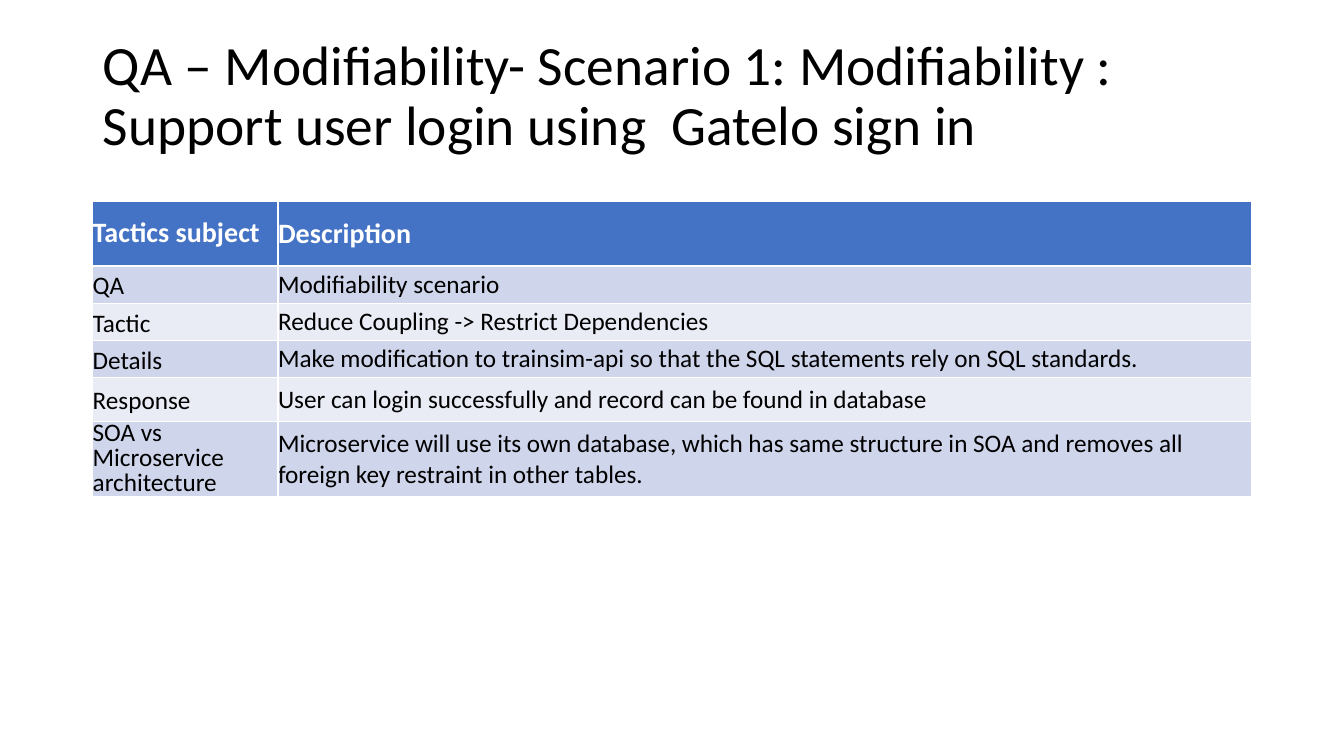
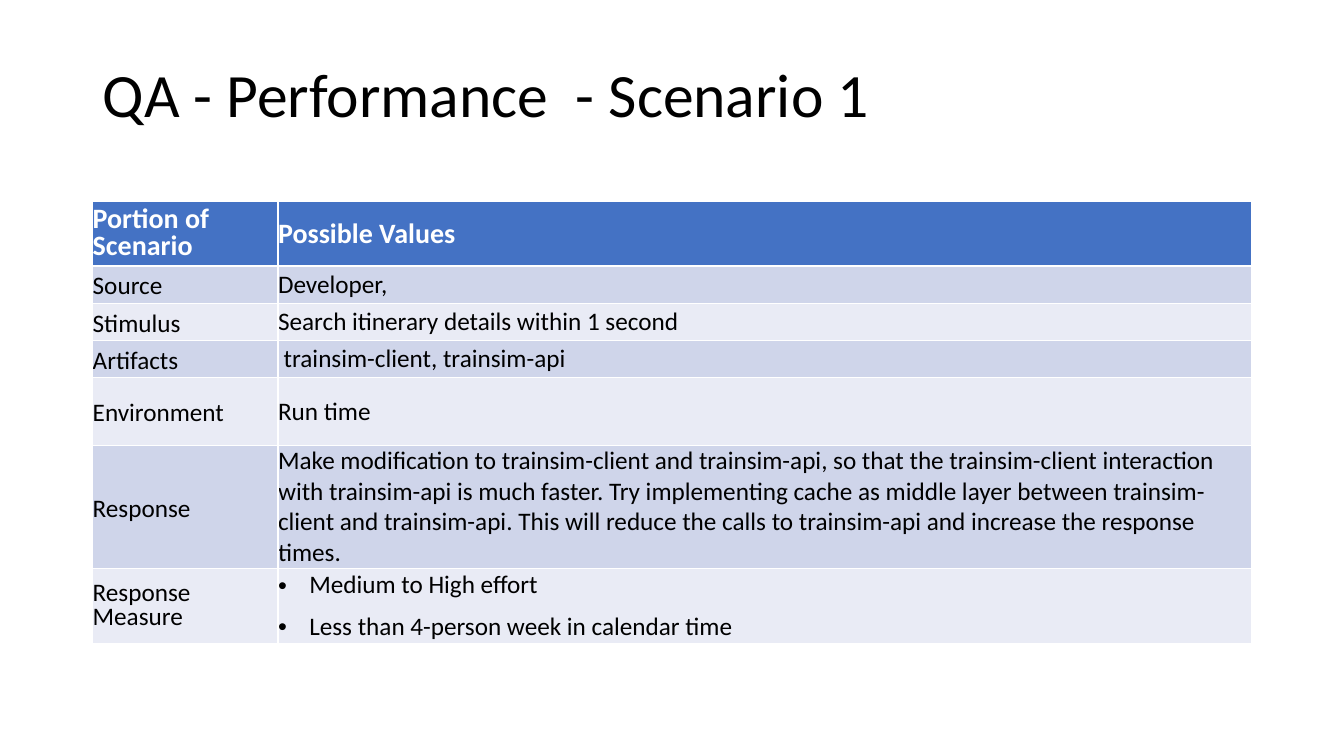
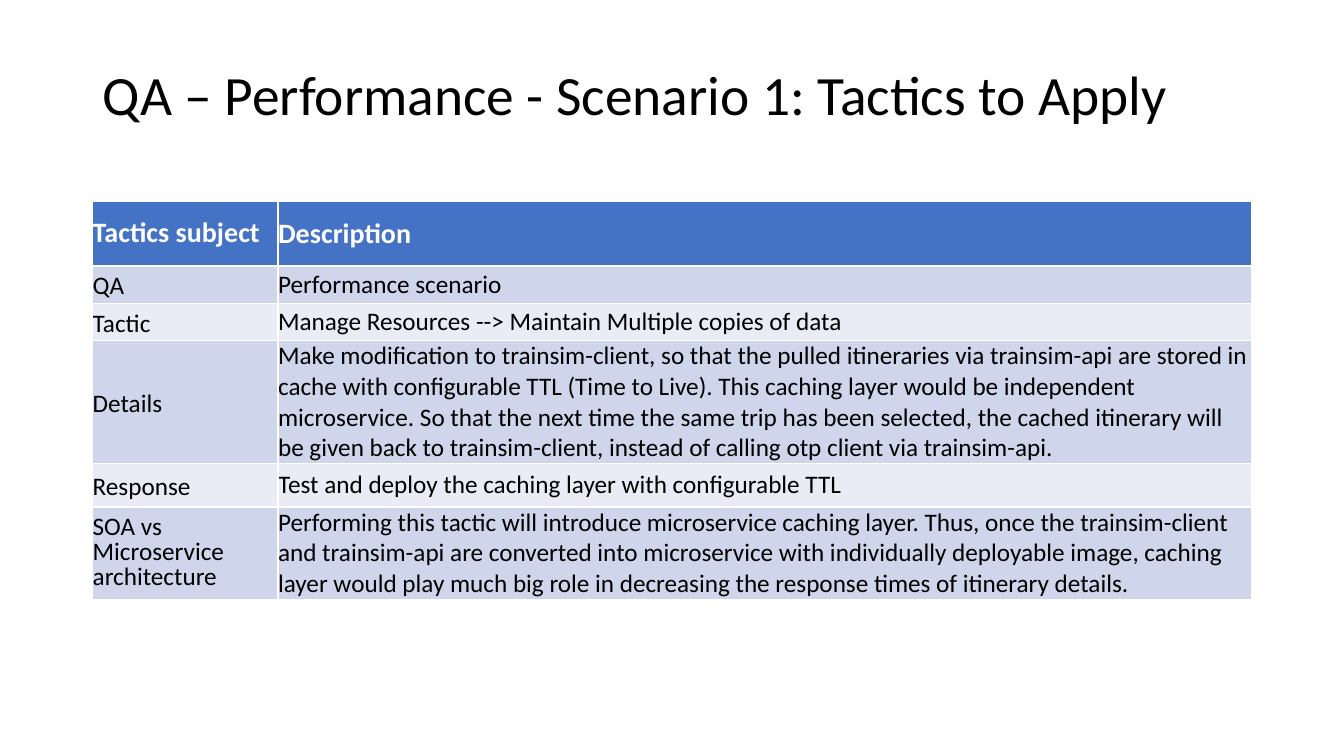
from lxml.etree import SubElement
from pptx import Presentation
from pptx.dml.color import RGBColor
from pptx.enum.text import MSO_ANCHOR, MSO_AUTO_SIZE, PP_ALIGN
from pptx.oxml.ns import qn
from pptx.util import Inches, Pt

COLORS = {
    "ink": "000000",
    "header": "4472C4",
    "header_text": "FFFFFF",
    "band_dark": "CFD5EA",
    "band_light": "E9EBF5",
}
FONT = "Calibri"
GRID_COLUMNS, GRID_ROWS = 58, 75
LEFT, WIDTH, LABEL_WIDTH = 4, 50, 8
TITLE_TOP, TITLE_HEIGHT, TABLE_TOP = 4, 11.4, 20
HEADER_ROW, SHORT_ROW, RESPONSE_ROW, TALL_ROW = 6.4, 3.7, 4.3, 7.5
THREE_LINES, FOUR_LINES = 9.1, 12.2
BULLET_INDENT = Inches(0.31)


def write(frame, content, size, color="ink", bold=False, spacing=1.0, gap=0):
    bulleted = isinstance(content, list)
    for number, line in enumerate(content if bulleted else [content]):
        paragraph = frame.add_paragraph() if number else frame.paragraphs[0]
        paragraph.alignment = PP_ALIGN.LEFT
        paragraph.line_spacing = spacing
        paragraph.space_before = paragraph.space_after = Pt(gap)
        if bulleted:
            properties = paragraph._p.get_or_add_pPr()
            properties.set("marL", str(BULLET_INDENT))
            properties.set("indent", str(-BULLET_INDENT))
            SubElement(properties, qn("a:buFont")).set("typeface", "Arial")
            SubElement(properties, qn("a:buChar")).set("char", "•")
        run = paragraph.add_run()
        run.text = line
        run.font.name = FONT
        run.font.size = Pt(size)
        run.font.bold = bold
        run.font.color.rgb = RGBColor.from_string(COLORS[color])


class ScenarioDeck:
    def __init__(self):
        self.deck = Presentation()
        self.deck.slide_width = Inches(40 / 3)
        self.deck.slide_height = Inches(7.5)
        self.slide = None

    def across(self, columns):
        return round(self.deck.slide_width * columns / GRID_COLUMNS)

    def down(self, rows):
        return round(self.deck.slide_height * rows / GRID_ROWS)

    def add_slide(self, heading, size=39.6):
        self.slide = self.deck.slides.add_slide(self.deck.slide_layouts[5])
        title = self.slide.shapes.title
        title.left, title.top = self.across(LEFT), self.down(TITLE_TOP)
        title.width, title.height = self.across(WIDTH), self.down(TITLE_HEIGHT)
        title.text_frame.auto_size = MSO_AUTO_SIZE.NONE
        title.text_frame.vertical_anchor = MSO_ANCHOR.MIDDLE
        write(title.text_frame, heading, size, spacing=0.9)

    def fill_cell(self, cell, content, fill, **style):
        cell.margin_left = cell.margin_right = 0
        cell.margin_top = cell.margin_bottom = 0
        cell.vertical_anchor = MSO_ANCHOR.MIDDLE
        cell.fill.solid()
        cell.fill.fore_color.rgb = RGBColor.from_string(COLORS[fill])
        write(cell.text_frame, content, gap=4, **style)

    def add_scenario_table(self, header, entries):
        rows = [(*header, HEADER_ROW), *entries]
        table = self.slide.shapes.add_table(
            len(rows), 2, self.across(LEFT), self.down(TABLE_TOP),
            self.across(WIDTH), self.down(sum(row[2] for row in rows)),
        ).table
        table.columns[0].width = self.across(LABEL_WIDTH)
        table.columns[1].width = self.across(WIDTH - LABEL_WIDTH)
        for number, (label, value, height) in enumerate(rows):
            table.rows[number].height = self.down(height)
            if number == 0:
                fill = "header"
                style = {"size": 20, "color": "header_text", "bold": True}
            else:
                fill = "band_dark" if number % 2 else "band_light"
                style = {"size": 18}
            label_spacing = 0.8 if " " in label else 1.1
            self.fill_cell(table.cell(number, 0), label, fill, spacing=label_spacing, **style)
            self.fill_cell(table.cell(number, 1), value, fill, **style)


def main():
    scenarios = ScenarioDeck()
    tactics_header = ("Tactics subject", "Description")

    scenarios.add_slide(
        "QA – Modifiability- Scenario 1: Modifiability : Support user login using  Gatelo sign in"
    )
    scenarios.add_scenario_table(tactics_header, [
        ("QA", "Modifiability scenario", SHORT_ROW),
        ("Tactic", "Reduce Coupling -> Restrict Dependencies", SHORT_ROW),
        ("Details", "Make modification to trainsim-api so that the SQL statements rely on "
                    "SQL standards.", SHORT_ROW),
        ("Response", "User can login successfully and record can be found in database",
         RESPONSE_ROW),
        ("SOA vs Microservice architecture",
         "Microservice will use its own database, which has same structure in SOA and "
         "removes all foreign key restraint in other tables.", TALL_ROW),
    ])

    scenarios.add_slide("QA - Performance  - Scenario 1", size=44)
    scenarios.add_scenario_table(("Portion of Scenario", "Possible Values"), [
        ("Source", "Developer,", SHORT_ROW),
        ("Stimulus", "Search itinerary details within 1 second", SHORT_ROW),
        ("Artifacts", " trainsim-client, trainsim-api", SHORT_ROW),
        ("Environment", "Run time", 6.7),
        ("Response",
         "Make modification to trainsim-client and trainsim-api, so that the trainsim-client "
         "interaction with trainsim-api is much faster. Try implementing cache as middle layer "
         "between trainsim-client and trainsim-api. This will reduce the calls to trainsim-api "
         "and increase the response times.", FOUR_LINES),
        ("Response Measure",
         ["Medium to High effort", "Less than 4-person week in calendar time"], TALL_ROW),
    ])

    scenarios.add_slide("QA – Performance - Scenario 1: Tactics to Apply")
    scenarios.add_scenario_table(tactics_header, [
        ("QA", "Performance scenario", SHORT_ROW),
        ("Tactic", "Manage Resources --> Maintain Multiple copies of data", SHORT_ROW),
        ("Details",
         "Make modification to trainsim-client, so that the pulled itineraries via trainsim-api "
         "are stored in cache with configurable TTL (Time to Live). This caching layer would be "
         "independent microservice. So that the next time the same trip has been selected, the "
         "cached itinerary will be given back to trainsim-client, instead of calling otp client "
         "via trainsim-api.", FOUR_LINES),
        ("Response", "Test and deploy the caching layer with configurable TTL", RESPONSE_ROW),
        ("SOA vs Microservice architecture",
         "Performing this tactic will introduce microservice caching layer. Thus, once the "
         "trainsim-client and trainsim-api are converted into microservice with individually "
         "deployable image, caching layer would play much big role in decreasing the response "
         "times of itinerary details.", THREE_LINES),
    ])

    scenarios.deck.save("out.pptx")


if __name__ == "__main__":
    main()
